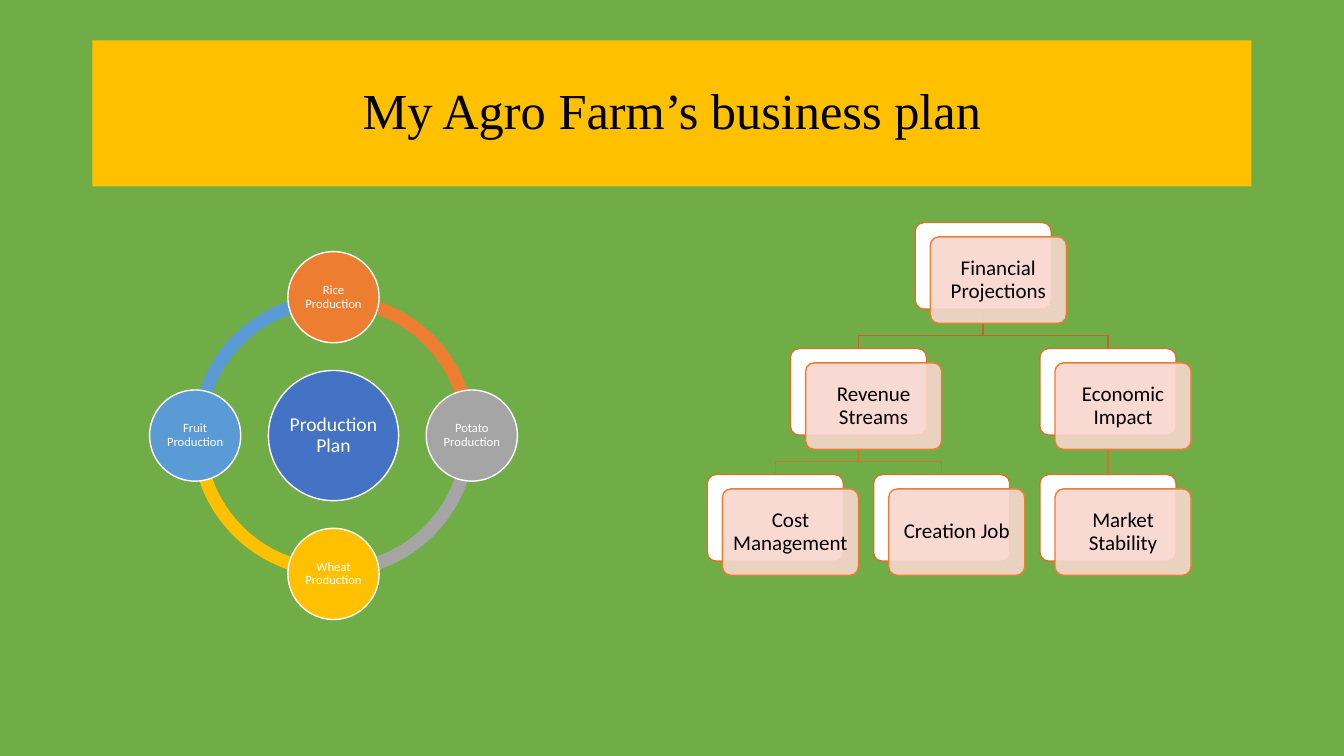
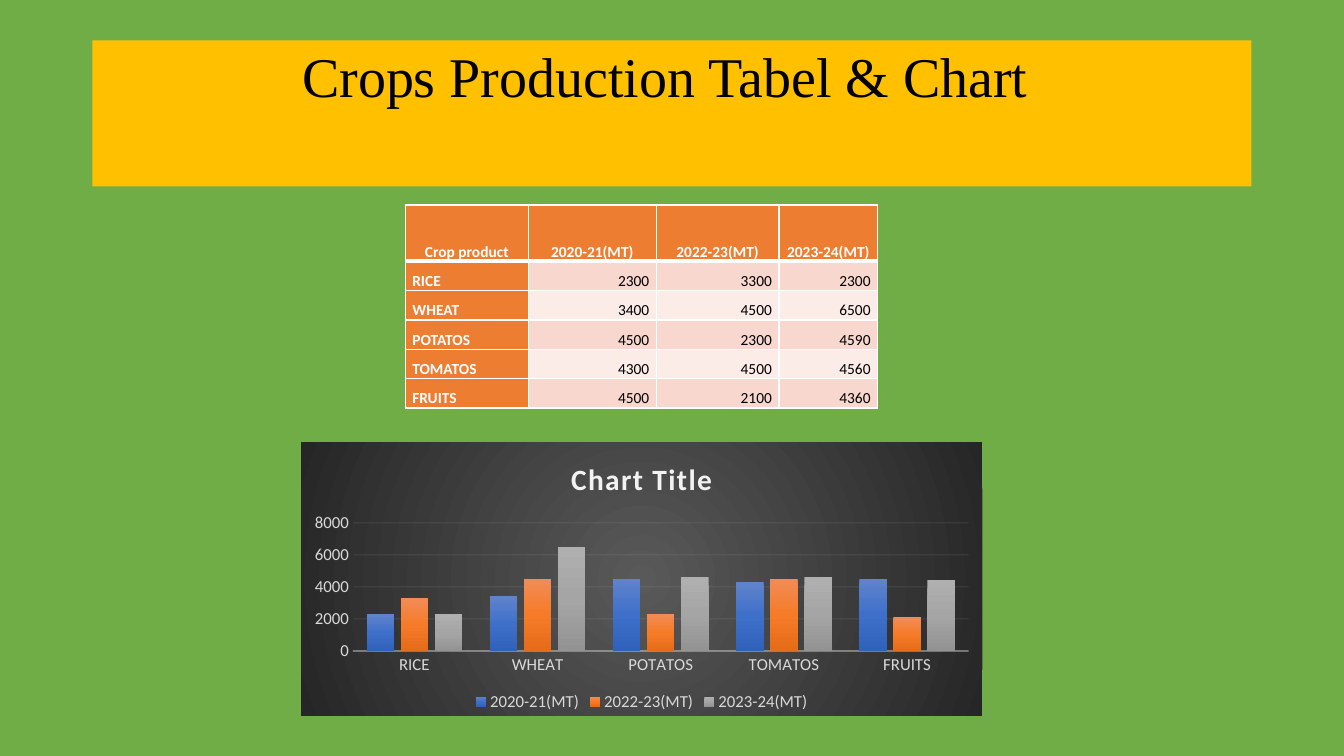
"""Build the two farm plan slides: production and finance diagrams, then crop table and chart."""
from dataclasses import dataclass
from math import cos, radians, sin

from pptx import Presentation
from pptx.chart.data import CategoryChartData
from pptx.dml.color import RGBColor
from pptx.enum.chart import XL_CHART_TYPE, XL_LEGEND_POSITION, XL_TICK_MARK
from pptx.enum.shapes import MSO_CONNECTOR, MSO_SHAPE
from pptx.enum.text import MSO_ANCHOR, PP_ALIGN
from pptx.oxml import parse_xml
from pptx.oxml.ns import nsdecls, qn
from pptx.util import Emu, Inches, Pt


@dataclass(frozen=True)
class Theme:
    serif: str = "Times New Roman"
    sans: str = "Calibri"
    green: str = "70AD47"
    gold: str = "FFC000"
    blue: str = "4472C4"
    sky: str = "5B9BD5"
    orange: str = "ED7D31"
    rust: str = "D7712C"
    brown: str = "BE6427"
    gray: str = "A5A5A5"
    blush: str = "F8D7CE"
    pale: str = "FCECE8"
    white: str = "FFFFFF"
    black: str = "000000"
    label: str = "D9D9D9"
    light: str = "F2F2F2"
    area: tuple = ("595959", "262626")
    bars: tuple = (
        ("6183CB", "3E70CA", "3062BB"),
        ("F18C57", "F67B28", "E56C19"),
        ("AFAFAF", "A5A5A5", "939393"),
    )
    title: float = 36
    title_large: float = 40
    hub: float = 14
    node: float = 9
    card: float = 15
    cell: float = 11
    axis: float = 12
    chart_title: float = 21


T = Theme()
COLS = 160

prs = Presentation()
prs.slide_width, prs.slide_height = Emu(12192000), Emu(6858000)
unit = prs.slide_width / COLS


def write(holder, text, *, size, color=T.black, font=T.sans, bold=False, align=PP_ALIGN.CENTER,
          anchor=MSO_ANCHOR.MIDDLE, spacing=0.9, inset=(0.1, 0.05, 0.1, 0.05)):
    holder.vertical_anchor = anchor
    holder.margin_left, holder.margin_top, holder.margin_right, holder.margin_bottom = map(Inches, inset)
    tf = getattr(holder, "text_frame", holder)
    tf.word_wrap = True
    p = tf.paragraphs[0]
    p.alignment, p.line_spacing = align, spacing
    r = p.add_run()
    r.text = text
    r.font.size, r.font.name, r.font.bold = Pt(size), font, bold
    r.font.color.rgb = RGBColor.from_string(color)


def draw(shapes, kind, x, y, w, h, *, fill, line=None, adjust=(), alpha=None):
    sp = shapes.add_shape(kind, *(Emu(round(v * unit)) for v in (x, y, w, h)))
    sp.shadow.inherit = False
    for i, value in enumerate(adjust):
        sp.adjustments[i] = value
    sp.fill.solid()
    sp.fill.fore_color.rgb = RGBColor.from_string(fill)
    if alpha:
        clr = sp.element.xpath("./p:spPr/a:solidFill/a:srgbClr")[0]
        clr.append(parse_xml(f'<a:alpha {nsdecls("a")} val="{alpha * 1000}"/>'))
    if line:
        sp.line.color.rgb = RGBColor.from_string(line)
        sp.line.width = Pt(1)
    else:
        sp.line.fill.background()
    return sp


slides = []
for text, fmt in (
    ("My Agro Farm’s business plan", dict(size=T.title)),
    ("Crops Production Tabel & Chart",
     dict(size=T.title_large, anchor=MSO_ANCHOR.TOP, inset=(0.1, 0.09, 0.24, 0.05))),
):
    s = prs.slides.add_slide(prs.slide_layouts[6])
    s.background.fill.solid()
    s.background.fill.fore_color.rgb = RGBColor.from_string(T.green)
    sp = draw(s.shapes, MSO_SHAPE.RECTANGLE, 11, 4.8, 138, 17.4, fill=T.gold)
    write(sp.text_frame, text, font=T.serif, **fmt)
    slides.append(s)
plan, crops = slides

ring = plan.shapes.add_group_shape().shapes
cx, cy, radius = 39.7, 51.85, 16.47
hub_d, node_d, arc_d = 15.5, 10.85, 33.7
nodes = [
    ("Rice Production", T.orange),
    ("Potato Production", T.gray),
    ("Wheat Production", T.gold),
    ("Fruit Production", T.sky),
]
discs = [("Production Plan", T.blue, cx, cy, hub_d, T.hub)]
for i, (text, color) in enumerate(nodes):
    start, end = (54 * ((i + k) % 4) for k in (3, 0))
    draw(ring, MSO_SHAPE.BLOCK_ARC, cx - arc_d / 2, cy - arc_d / 2, arc_d, arc_d,
         fill=color, adjust=(start, end, 0.046))
    angle = radians(90 * i - 90)
    discs.append((text, color, cx + radius * cos(angle), cy + radius * sin(angle), node_d, T.node))
for text, color, x, y, d, size in discs:
    sp = draw(ring, MSO_SHAPE.OVAL, x - d / 2, y - d / 2, d, d, fill=color, line=T.white)
    write(sp.text_frame, text, size=size, color=T.white, inset=(0.01,) * 4)

tree = plan.shapes.add_group_shape().shapes
card_w, card_h, step_x, step_y = 16.2, 10.3, 19.8, 15
left, top, shift_x, shift_y = 84.2, 26.5, 1.8, 1.7
cards = {
    "Financial Projections": (1.25, 0, None),
    "Revenue Streams": (0.5, 1, "Financial Projections"),
    "Cost Management": (0, 2, "Revenue Streams"),
    "Creation Job": (1, 2, "Revenue Streams"),
    "Economic Impact": (2, 1, "Financial Projections"),
    "Market Stability": (2, 2, "Economic Impact"),
}
spots = {text: (left + col * step_x, top + row * step_y) for text, (col, row, _) in cards.items()}
for text, (_, row, parent) in cards.items():
    if parent is None:
        continue
    x1, x2 = (round((spots[name][0] + card_w / 2) * unit) for name in (parent, text))
    y1, y2 = round((spots[parent][1] + card_h) * unit), round(spots[text][1] * unit)
    bend = y1 + (y2 - y1) * 2 // 3
    if x1 == x2:
        link = tree.add_connector(MSO_CONNECTOR.STRAIGHT, x1, y1, x2, y2)
        link.element.spPr.append(parse_xml(f'<a:effectLst {nsdecls("a")}/>'))
    else:
        outline = tree.build_freeform(x1, y1)
        outline.add_line_segments([(x1, bend), (x2, bend), (x2, y2)], close=False)
        link = outline.convert_to_shape()
        link.fill.background()
        link.shadow.inherit = False
    link.line.color.rgb = RGBColor.from_string(T.brown if row == 1 else T.rust)
    link.line.width = Pt(1)
for text, (x, y) in spots.items():
    draw(tree, MSO_SHAPE.ROUNDED_RECTANGLE, x, y, card_w, card_h, fill=T.white, line=T.rust, adjust=(0.1,))
    sp = draw(tree, MSO_SHAPE.ROUNDED_RECTANGLE, x + shift_x, y + shift_y, card_w, card_h,
              fill=T.blush, line=T.orange, adjust=(0.1,), alpha=90)
    write(sp.text_frame, text, size=T.card, inset=(0.06,) * 4)

years = ["2020-21(MT)", "2022-23(MT)", "2023-24(MT)"]
harvest = {
    "RICE": (2300, 3300, 2300),
    "WHEAT": (3400, 4500, 6500),
    "POTATOS": (4500, 2300, 4590),
    "TOMATOS": (4300, 4500, 4560),
    "FRUITS": (4500, 2100, 4360),
}
rows = [["Crop product", *years]] + [[crop, *values] for crop, values in harvest.items()]
widths = [14.65, 15.25, 14.6, 11.75]
heights = [6.7] + [3.5] * len(harvest)
frame = (48.25, 24.4, sum(widths), sum(heights))
tbl = crops.shapes.add_table(len(rows), len(widths), *(Emu(round(v * unit)) for v in frame)).table
tbl.horz_banding = False
for col, w in zip(tbl.columns, widths):
    col.width = Emu(round(w * unit))
for i, (row, h) in enumerate(zip(rows, heights)):
    tbl.rows[i].height = Emu(round(h * unit))
    for j, value in enumerate(row):
        cell = tbl.cell(i, j)
        head = i == 0 or j == 0
        align = PP_ALIGN.CENTER if i == 0 else PP_ALIGN.LEFT if j == 0 else PP_ALIGN.RIGHT
        write(cell, str(value), size=T.cell, color=T.white if head else T.black, bold=head,
              align=align, anchor=MSO_ANCHOR.BOTTOM, spacing=1.07, inset=(0.07, 0, 0.07, 0))
        tcPr = cell._tc.get_or_add_tcPr()
        for side in "LRTB":
            width = Pt(3 if (i, side) in ((0, "B"), (1, "T")) else 1)
            tcPr.append(parse_xml(
                f'<a:ln{side} {nsdecls("a")} w="{width}"><a:solidFill>'
                f'<a:srgbClr val="{T.white}"/></a:solidFill></a:ln{side}>'))
        cell.fill.solid()
        cell.fill.fore_color.rgb = RGBColor.from_string(
            T.orange if head else T.blush if i % 2 else T.pale)

data = CategoryChartData()
data.categories = list(harvest)
for year, values in zip(years, zip(*harvest.values())):
    data.add_series(year, [round(v, -2) for v in values])
frame = (35.85, 52.65, 81.1, 32.55)
chart = crops.shapes.add_chart(
    XL_CHART_TYPE.COLUMN_CLUSTERED, *(Emu(round(v * unit)) for v in frame), data).chart
chart.font.size, chart.font.name = Pt(T.axis), T.sans
chart.font.color.rgb = RGBColor.from_string(T.label)
chart.has_title = True
write(chart.chart_title.text_frame, "Chart Title", size=T.chart_title, color=T.light, bold=True)
chart.chart_title.include_in_layout = False
chart.element.xpath(".//c:title//a:rPr")[0].set("spc", "100")
chart.has_legend = True
chart.legend.position = XL_LEGEND_POSITION.BOTTOM
chart.legend.include_in_layout = False
plot = chart.plots[0]
plot.gap_width, plot.overlap, plot.vary_by_categories = 100, -24, False

cat, val = chart.category_axis, chart.value_axis
val.minimum_scale, val.maximum_scale, val.major_unit = 0, 8000, 2000
val.format.line.fill.background()
for axis in (cat, val):
    axis.major_tick_mark = axis.minor_tick_mark = XL_TICK_MARK.NONE
for owner, tag, width, alpha in (
    (cat, "c:catAx", 1, 54),
    (val.major_gridlines, "c:majorGridlines", 0.75, 10),
):
    owner.format.line.color.rgb = RGBColor.from_string(T.light)
    owner.format.line.width = Pt(width)
    clr = chart.element.xpath(f".//{tag}/c:spPr//a:srgbClr")[0]
    clr.append(parse_xml(f'<a:alpha {nsdecls("a")} val="{alpha * 1000}"/>'))

area = parse_xml(f'<c:spPr {nsdecls("c", "a")}/>')
chart.element.find(qn("c:chart")).addnext(area)
down = '<a:lin ang="5400000" scaled="0"/>'
radial = '<a:path path="circle"><a:fillToRect l="50000" t="50000" r="50000" b="50000"/></a:path>'
series = [ser.get_or_add_spPr() for ser in chart.element.iter(qn("c:ser"))]
for spPr, colors in zip([area, *series], [T.area, *T.bars]):
    stops = "".join(
        f'<a:gs pos="{100000 * i // (len(colors) - 1)}"><a:srgbClr val="{c}"/></a:gs>'
        for i, c in enumerate(colors))
    spPr.append(parse_xml(
        f'<a:gradFill {nsdecls("a")} rotWithShape="1"><a:gsLst>{stops}</a:gsLst>'
        f'{radial if spPr is area else down}</a:gradFill>'))
area.append(parse_xml(f'<a:ln {nsdecls("a")}><a:noFill/></a:ln>'))

prs.save("out.pptx")
